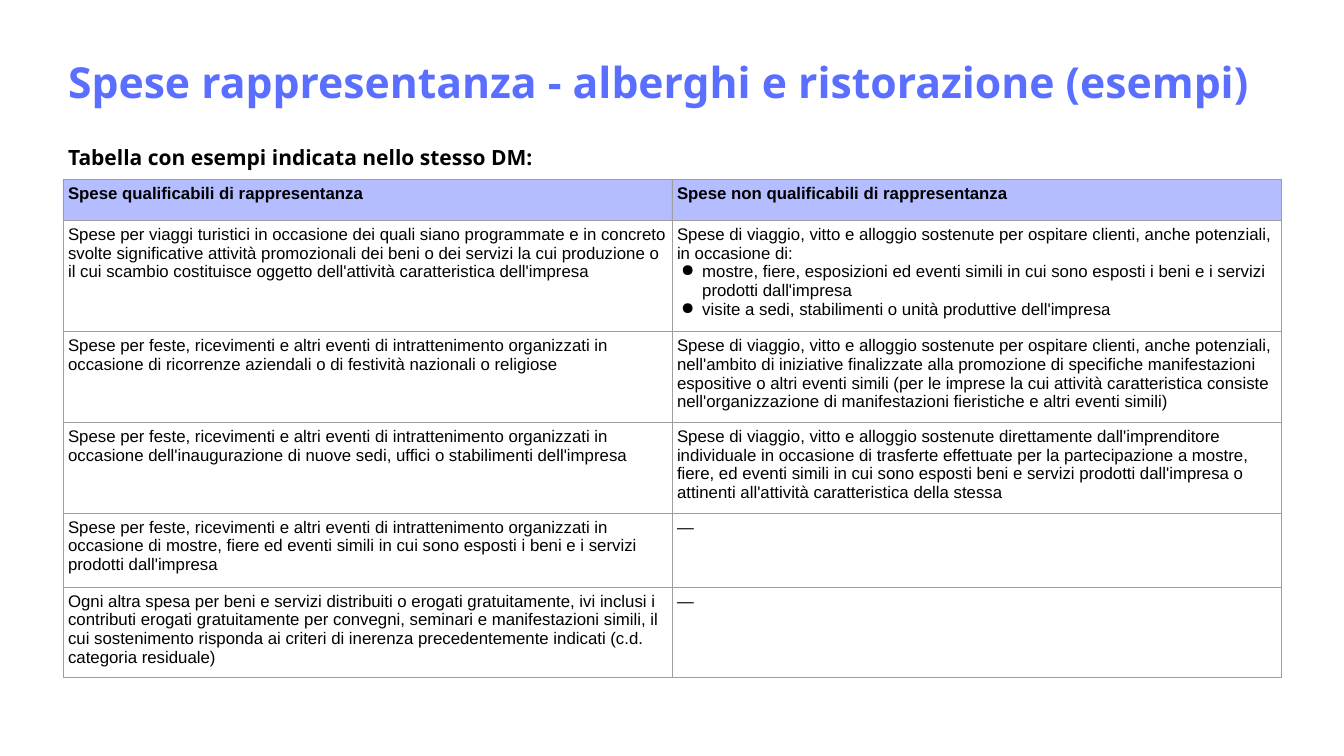
from pptx import Presentation
from pptx.dml.color import RGBColor
from pptx.enum.text import MSO_ANCHOR, MSO_AUTO_SIZE, PP_ALIGN
from pptx.oxml.ns import qn
from pptx.util import Inches, Pt
from lxml.etree import SubElement

COLORS = {"accent": "5A6EFF", "text": "000000", "border": "9E9E9E"}
WIDTH, HEIGHT = 26.67, 15
COLUMNS, ROWS = 64, 36
LEFT, SPAN = 3, 58

TITLE = "Spese rappresentanza - alberghi e ristorazione (esempi)"
SUBTITLE = "Tabella con esempi indicata nello stesso DM:"
PARTY = "Spese per feste, ricevimenti e altri eventi di intrattenimento organizzati in occasione "
TRAVEL = "Spese di viaggio, vitto e alloggio sostenute "
GUESTS = TRAVEL + "per ospitare clienti, anche potenziali, "
BULLET = "● "
EXPENSES = [
    (1.94, ["Spese qualificabili di rappresentanza"],
     ["Spese non qualificabili di rappresentanza"]),
    (5.3, ["Spese per viaggi turistici in occasione dei quali siano programmate e in concreto "
           "svolte significative attività promozionali dei beni o dei servizi la cui produzione o "
           "il cui scambio costituisce oggetto dell'attività caratteristica dell'impresa"],
     [GUESTS + "in occasione di:",
      BULLET + "mostre, fiere, esposizioni ed eventi simili in cui sono esposti i beni e i servizi "
      "prodotti dall'impresa",
      BULLET + "visite a sedi, stabilimenti o unità produttive dell'impresa"]),
    (4.32, [PARTY + "di ricorrenze aziendali o di festività nazionali o religiose"],
     [GUESTS + "nell'ambito di iniziative finalizzate alla promozione di specifiche manifestazioni "
      "espositive o altri eventi simili (per le imprese la cui attività caratteristica consiste "
      "nell'organizzazione di manifestazioni fieristiche e altri eventi simili)"]),
    (4.32, [PARTY + "dell'inaugurazione di nuove sedi, uffici o stabilimenti dell'impresa"],
     [TRAVEL + "direttamente dall'imprenditore individuale in occasione di trasferte effettuate "
      "per la partecipazione a mostre, fiere, ed eventi simili in cui sono esposti beni e servizi "
      "prodotti dall'impresa o attinenti all'attività caratteristica della stessa"]),
    (3.53, [PARTY + "di mostre, fiere ed eventi simili in cui sono esposti i beni e i servizi "
            "prodotti dall'impresa"], ["—"]),
    (4.32, ["Ogni altra spesa per beni e servizi distribuiti o erogati gratuitamente, ivi inclusi i "
            "contributi erogati gratuitamente per convegni, seminari e manifestazioni simili, il "
            "cui sostenimento risponda ai criteri di inerenza precedentemente indicati (c.d. "
            "categoria residuale)"], ["—"]),
]


def across(columns):
    return Inches(WIDTH * columns / COLUMNS)


def down(rows):
    return Inches(HEIGHT * rows / ROWS)


def assign(target, values):
    for name, value in values.items():
        setattr(target, name, value)


class SlideWriter:
    heading = {"name": "Noto Sans", "size": Pt(61), "bold": True}
    subheading = {"name": "Noto Sans", "size": Pt(30), "bold": True}
    header = {"name": "Arial", "size": Pt(24), "bold": True}
    body = {"name": "Arial", "size": Pt(24), "bold": False}
    margins = {f"margin_{side}": Inches(0.1) for side in ("left", "right", "top", "bottom")}
    frame = {"word_wrap": True, "auto_size": MSO_AUTO_SIZE.NONE, "vertical_anchor": MSO_ANCHOR.TOP}
    flow = {"alignment": PP_ALIGN.LEFT, "space_before": Pt(0), "space_after": Pt(0)}

    def __init__(self, page):
        self.page = page

    def paragraph(self, para, text, font, color="text"):
        assign(para, self.flow)
        properties = para._p.get_or_add_pPr()
        bulleted = text.startswith(BULLET)
        properties.set("marL", str(Inches(0.5) if bulleted else 0))
        properties.set("indent", str(Inches(-0.42) if bulleted else 0))
        if bulleted:
            SubElement(properties, qn("a:buChar"), char=BULLET.strip())
        else:
            SubElement(properties, qn("a:buNone"))
        span = para.add_run()
        span.text = text.removeprefix(BULLET)
        assign(span.font, font)
        span.font.color.rgb = RGBColor.from_string(COLORS[color])

    def placeholder(self, box, top, height, text, font, color="text"):
        assign(box, {"left": across(LEFT), "top": down(top),
                     "width": across(SPAN), "height": down(height)})
        assign(box.text_frame, self.frame | self.margins)
        self.paragraph(box.text_frame.paragraphs[0], text, font, color)

    def cell(self, cell, texts, is_header):
        assign(cell, self.margins)
        properties = cell._tc.get_or_add_tcPr()
        for side in ("lnL", "lnR", "lnT", "lnB"):
            line = SubElement(properties, qn(f"a:{side}"), w=str(Pt(0.75)))
            fill = SubElement(line, qn("a:solidFill"))
            SubElement(fill, qn("a:srgbClr"), val=COLORS["border"])
        if is_header:
            cell.fill.solid()
            cell.fill.fore_color.rgb = RGBColor.from_string(COLORS["accent"])
            color = properties.find(qn("a:solidFill")).find(qn("a:srgbClr"))
            SubElement(color, qn("a:alpha"), val="45000")
        else:
            cell.fill.background()
        for index, text in enumerate(texts):
            para = cell.text_frame.add_paragraph() if index else cell.text_frame.paragraphs[0]
            self.paragraph(para, text, self.header if is_header else self.body)

    def table(self, top, entries):
        height = sum(entry[0] for entry in entries)
        table = self.page.shapes.add_table(
            len(entries), 2, across(LEFT), down(top), across(SPAN), down(height)).table
        assign(table, {"first_row": False, "horz_banding": False})
        for index, (height, *contents) in enumerate(entries):
            table.rows[index].height = down(height)
            for column, texts in enumerate(contents):
                self.cell(table.cell(index, column), texts, index == 0)


def main():
    deck = Presentation()
    assign(deck, {"slide_width": Inches(WIDTH), "slide_height": Inches(HEIGHT)})
    page = deck.slides.add_slide(deck.slide_layouts[1])
    writer = SlideWriter(page)
    writer.table(8.54, EXPENSES)
    writer.placeholder(page.shapes.title, 2.4, 3.36, TITLE, writer.heading, "accent")
    writer.placeholder(page.placeholders[1], 6.65, 1.7, SUBTITLE, writer.subheading)
    deck.save("out.pptx")


if __name__ == "__main__":
    main()
